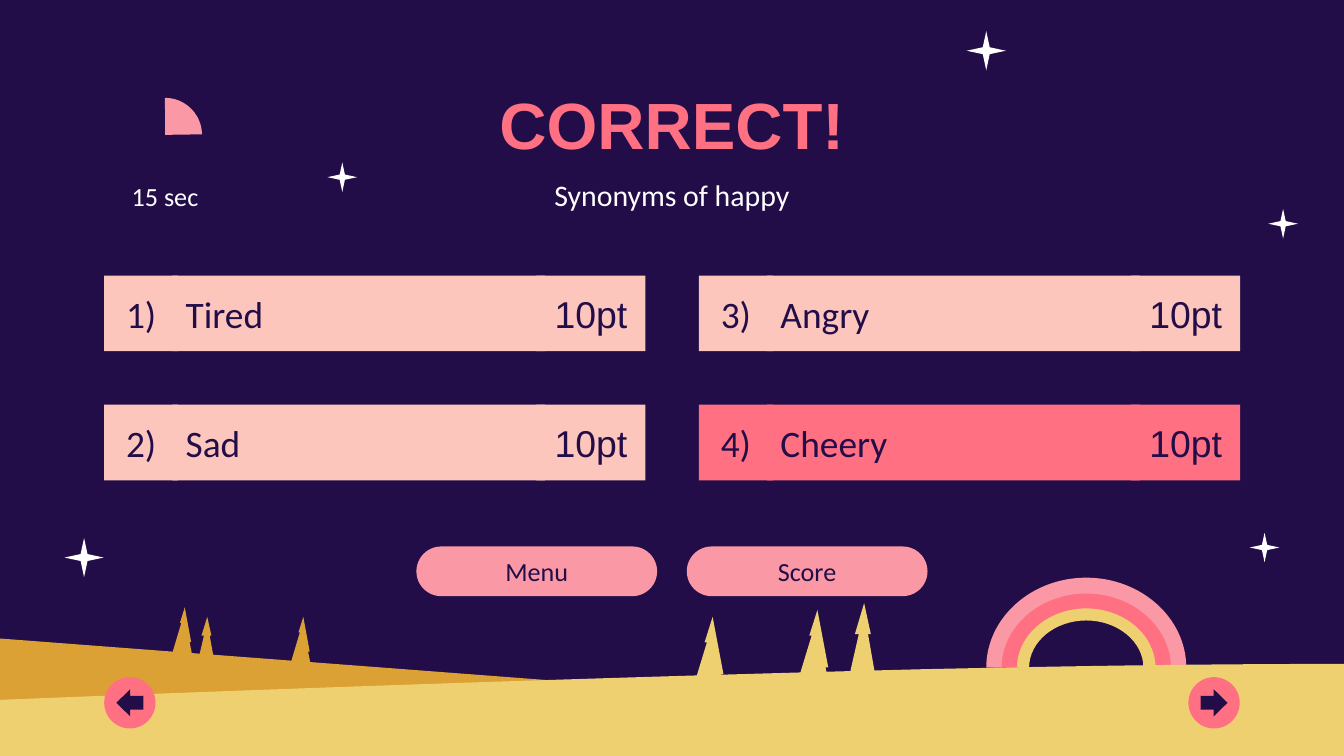
from pptx import Presentation
from pptx.dml.color import RGBColor
from pptx.enum.shapes import MSO_SHAPE as Preset
from pptx.enum.text import MSO_ANCHOR as Anchor, PP_ALIGN as Align
from pptx.oxml import parse_xml
from pptx.oxml.ns import nsdecls, qn
from pptx.util import Cm, Pt

COLORS = {
    "night": "220D49", "coral": "FF7083", "pink": "FA98A5", "peach": "FDC6BC",
    "sand": "EED071", "ochre": "DBA134", "white": "FFFFFF",
}

# Content (lengths in cm)
TITLE = "CORRECT!"
SUBTITLE = "Synonyms of happy"
TIMER = "15 sec"
POINTS = "10pt"
ANSWERS = [("Tired", "peach"), ("Sad", "peach"), ("Angry", "peach"), ("Cheery", "coral")]
BUTTONS = ["Menu", "Score"]

# Scenery: left, top, size
STARS = [(1.22, 10.17, 0.74), (18.27, 0.59, 0.74), (6.19, 3.07, 0.56),
         (23.62, 10.07, 0.56), (23.97, 3.95, 0.56)]
# Rainbow bands: colour, outer half width and height, inner half width and height
RAINBOW = [
    ("sand", (1.35, 1.14), (1.08, 0.89)),
    ("coral", (1.62, 1.42), (1.31, 1.12)),
    ("pink", (1.89, 1.7), (1.6, 1.4)),
]
RAINBOW_MIDDLE, RAINBOW_FOOT = 20.53, 12.62
ROUNDNESS = 0.55
GROUND_BOTTOM = 14.45
# Outlines: a step of one point is a line, a step of three points is a curve
FAR_HILL = [[(0, 12.07)], [(25.4, 14)], [(25.4, GROUND_BOTTOM)], [(0, GROUND_BOTTOM)]]
NEAR_HILL = [
    [(25.4, 12.55)],
    [(22.43, 12.55), (19.81, 12.6), (17.45, 12.65)],
    [(11.56, 12.8), (5.72, 13), (0, 13.23)],
    [(0, GROUND_BOTTOM)], [(25.4, GROUND_BOTTOM)],
]
LEANING = [(0.64, 0), (0.96, 0.74), (0.88, 0.74), (1, 1), (0, 1), (0.47, 0.33), (0.4, 0.33)]
UPRIGHT = [(0.57, 0), (0.81, 0.4), (0.71, 0.4), (1, 1), (0, 1), (0.38, 0.4), (0.24, 0.4)]
# Trees: outline, colour, left, top, width, height
TREES = [
    (LEANING, "sand", 15.04, 11.53, 0.64, 1.47),
    (LEANING, "sand", 13.06, 11.66, 0.64, 1.47),
    (UPRIGHT, "sand", 16.03, 11.4, 0.53, 1.47),
    (LEANING, "ochre", 3.25, 11.48, 0.38, 0.89),
    (LEANING, "ochre", 5.49, 11.66, 0.38, 0.89),
    (UPRIGHT, "ochre", 3.73, 11.66, 0.33, 0.89),
]


def rgb(name):
    return RGBColor.from_string(COLORS[name])


def paint(shape, color):
    shape.shadow.inherit = False
    shape.line.fill.background()
    if color is None:
        shape.fill.background()
    else:
        shape.fill.solid()
        shape.fill.fore_color.rgb = rgb(color)


def add_preset(preset, left, top, width, height, color, adjustments=()):
    shape = slide.shapes.add_shape(preset, Cm(left), Cm(top), Cm(width), Cm(height))
    paint(shape, color)
    for index, value in enumerate(adjustments):
        shape.adjustments[index] = value
    return shape


def add_outline(steps, color):
    corners = [(Cm(x), Cm(y)) for step in steps for x, y in step]
    builder = slide.shapes.build_freeform(*corners[0])
    builder.add_line_segments(corners[1:], close=True)
    shape = builder.convert_to_shape()
    paint(shape, color)
    # Join the three segments of each curve step into one Bezier segment
    segments = iter(list(shape._element.iter(qn("a:lnTo"))))
    for step in steps[1:]:
        group = [next(segments) for _ in step]
        if len(group) == 3:
            curve = parse_xml(f"<a:cubicBezTo {nsdecls('a')}/>")
            group[0].addprevious(curve)
            for segment in group:
                curve.append(segment[0])
                segment.getparent().remove(segment)


def arch(half_width, height, direction):
    """Start point and two curves over the top; direction 1 is left to right."""
    def at(x, y):
        return (RAINBOW_MIDDLE + direction * x * half_width, RAINBOW_FOOT - y * height)
    return [
        [at(-1, 0)],
        [at(-1, ROUNDNESS), at(-ROUNDNESS, 1), at(0, 1)],
        [at(ROUNDNESS, 1), at(1, ROUNDNESS), at(1, 0)],
    ]


def write(shape, text, size, color="night", font="Calibri", align=Align.CENTER, bold=False):
    frame = shape.text_frame
    frame.word_wrap = True
    frame.vertical_anchor = Anchor.MIDDLE
    frame.margin_left = frame.margin_right = Cm(0.25)
    frame.margin_top = frame.margin_bottom = Cm(0.25)
    para = frame.paragraphs[0]
    para.alignment = align
    span = para.add_run()
    span.text = text
    span.font.size, span.font.name, span.font.bold = Pt(size), font, bold
    span.font.color.rgb = rgb(color)


deck = Presentation()
deck.slide_width, deck.slide_height = Cm(25.4), Cm(14.29)
slide = deck.slides.add_slide(deck.slide_layouts[5])
slide.background.fill.solid()
slide.background.fill.fore_color.rgb = rgb("night")

# Rainbow, hills, trees and stars
for color, outer, inner in RAINBOW:
    add_outline(arch(*outer, 1) + arch(*inner, -1), color)
add_outline(FAR_HILL, "ochre")
add_outline(NEAR_HILL, "sand")
for outline, color, left, top, width, height in TREES:
    add_outline([[(left + x * width, top + y * height)] for x, y in outline], color)
for left, top, size in STARS:
    add_preset(Preset.STAR_4_POINT, left, top, size, size, "white", [0.125])

# Title and subtitle
title = slide.shapes.title
title.left, title.top, title.width, title.height = Cm(6.02), Cm(1.49), Cm(13.36), Cm(1.7)
write(title, TITLE, 35, "coral", "Arial", bold=True)
subtitle = slide.shapes.add_textbox(Cm(6.02), Cm(3.2), Cm(13.36), Cm(0.94))
write(subtitle, SUBTITLE, 16, "white")

# Answers: two columns, filled downwards
for index, (answer, color) in enumerate(ANSWERS):
    column, row = divmod(index, 2)
    left, top = 1.97 + column * 11.24, 5.21 + row * 2.44
    cells = [
        (1.29, 7.04, answer, "Calibri", Align.LEFT),
        (0, 1.4, f"{index + 1})", "Calibri", Align.CENTER),
        (8.17, 2.06, POINTS, "Arial", Align.CENTER),
    ]
    for offset, width, text, font, align in cells:
        cell = add_preset(Preset.RECTANGLE, left + offset, top, width, 1.43, color)
        write(cell, text, 20, font=font, align=align)

# Buttons
for index, text in enumerate(BUTTONS):
    button = add_preset(Preset.ROUNDED_RECTANGLE, 7.87 + index * 5.11, 10.33,
                        4.55, 0.94, "pink", [0.5])
    write(button, text, 14)

# Timer: the pie angles are in units of 5/3 degree
add_preset(Preset.PIE, 2.42, 1.85, 1.4, 1.4, "pink", [162, 215.49])
timer = add_preset(Preset.ROUNDED_RECTANGLE, 1.89, 3.24, 2.46, 0.94, None, [0])
write(timer, TIMER, 14, "white")

# Navigation
for left, arrow in [(22.46, Preset.RIGHT_ARROW), (1.97, Preset.LEFT_ARROW)]:
    add_preset(Preset.OVAL, left, 12.8, 0.97, 0.97, "coral")
    add_preset(arrow, left + 0.23, 13.03, 0.51, 0.51, "night", [0.51, 0.51])

deck.save("out.pptx")
